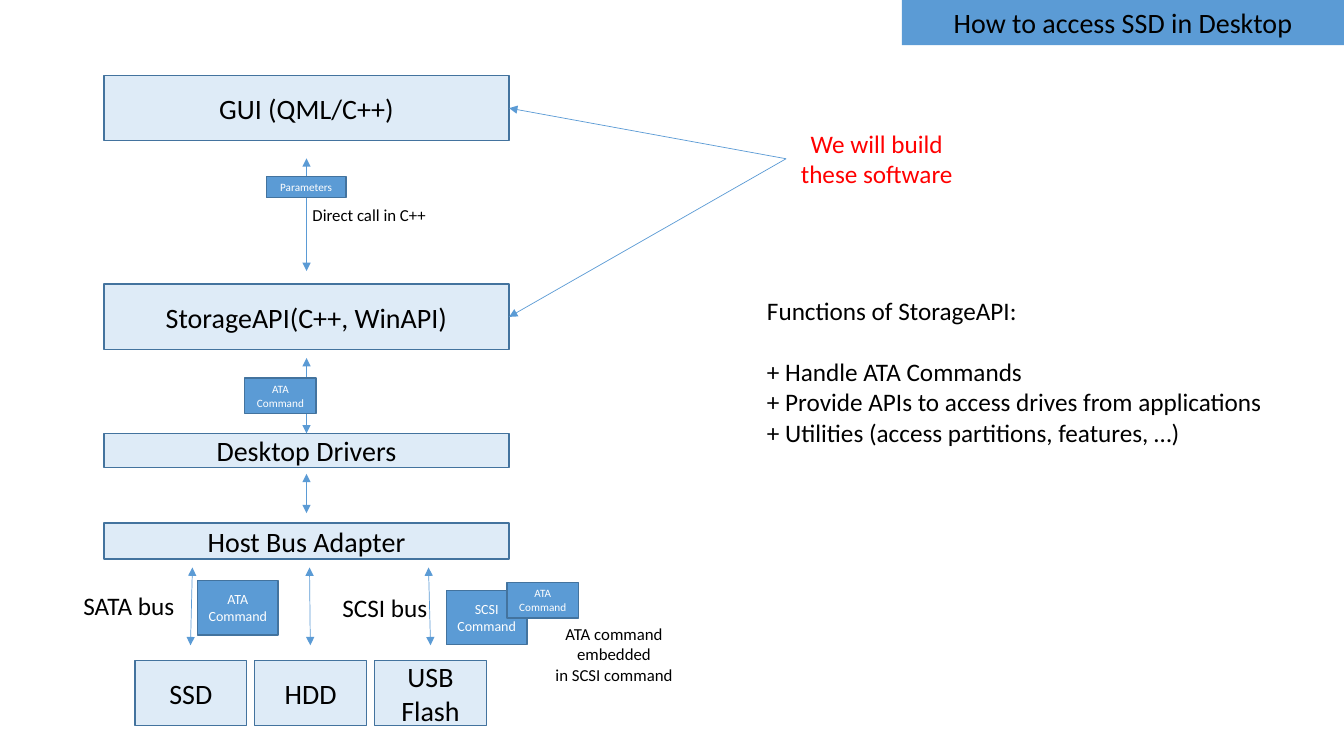
from dataclasses import dataclass

from lxml import etree
from pptx import Presentation
from pptx import util as u
from pptx.dml.color import RGBColor
from pptx.enum import shapes, text
from pptx.oxml import ns


@dataclass(frozen=True)
class Theme:
    """Colours, font and type sizes of the slide."""
    font: str = "Calibri"
    pale: str = "DEEBF7"
    blue: str = "5B9BD5"
    edge: str = "43739E"
    black: str = "000000"
    white: str = "FFFFFF"
    red: str = "FF0000"
    head: int = 20
    body: int = 18
    note: int = 12
    tag: int = 10
    mini: int = 8


T = Theme()
TAG = (2.03, 1.37)
MINI = (1.8, 0.89)


def rgb(value):
    """Turn a hex string into a colour."""
    return RGBColor.from_string(value)


def write(sp, content, size=T.body, color=T.black, align="CENTER", anchor="TOP", gaps=()):
    """Write one paragraph per line; gaps lists the lines with a line's space before."""
    tf = sp.text_frame
    tf.word_wrap = True
    tf.vertical_anchor = getattr(text.MSO_ANCHOR, anchor)
    for i, line in enumerate(content.split("\n")):
        p = tf.paragraphs[0] if i == 0 else tf.add_paragraph()
        p.alignment = getattr(text.PP_ALIGN, align)
        if i in gaps:
            p.space_before = u.Pt(size * 1.22)
        r = p.add_run()
        r.text = line
        r.font.name = T.font
        r.font.size = u.Pt(size)
        r.font.color.rgb = rgb(color)
    return sp


def label(s, x, y, w, h, content, **fmt):
    """Add a text box."""
    return write(s.shapes.add_textbox(*map(u.Cm, (x, y, w, h))), content, **fmt)


def block(s, x, y, w, h, content, fill=T.pale, edge=T.edge, size=T.head, **fmt):
    """Add a filled rectangle with centred text."""
    sp = s.shapes.add_shape(shapes.MSO_SHAPE.RECTANGLE, *map(u.Cm, (x, y, w, h)))
    sp.shadow.inherit = False
    sp.fill.solid()
    sp.fill.fore_color.rgb = rgb(fill)
    if edge:
        sp.line.color.rgb = rgb(edge)
        sp.line.width = u.Pt(1)
    else:
        sp.line.fill.background()
    return write(sp, content, size=size, anchor="MIDDLE", **fmt)


def command(s, x, y, box, content, size):
    """Add a small blue tag for a message travelling along an arrow."""
    return block(s, x, y, *box, content, fill=T.blue, size=size, color=T.white)


def arrow(s, x1, y1, x2, y2, ends=("headEnd", "tailEnd")):
    """Add a thin straight line with triangles at the given ends."""
    c = s.shapes.add_connector(shapes.MSO_CONNECTOR.STRAIGHT, *map(u.Cm, (x1, y1, x2, y2)))
    c.line.color.rgb = rgb(T.blue)
    c.line.width = u.Pt(0.5)
    ln = c.line._get_or_add_ln()
    for end in ends:
        etree.SubElement(ln, ns.qn(f"a:{end}"), type="triangle")
    etree.SubElement(c._element.spPr, ns.qn("a:effectLst"))
    return c


def title(s, x, y, w, h):
    """Draw the title bar."""
    block(s, x, y, w, h, "How to access SSD in Desktop", fill=T.blue, edge=None)


def stack(s, x, y, w):
    """Draw the software layers and the calls between them; return the layers."""
    layers = [("GUI (QML/C++)", 0, 1.65), ("StorageAPI(C++, WinAPI)", 5.26, 1.65),
              ("Desktop Drivers", 9.02, 0.86), ("Host Bus Adapter", 11.28, 0.91)]
    boxes = [block(s, x, y + top, w, h, name) for name, top, h in layers]
    mid = x + w / 2
    for top, bottom in ((2.09, 4.93), (7.12, 9.02), (10.04, 11.03)):
        arrow(s, mid, y + top, mid, y + bottom)
    command(s, x + 4.09, y + 2.55, (2.01, 0.53), "Parameters", T.mini)
    label(s, x + 4.82, y + 3.13, 3.73, 0.76, "Direct call in C++", size=T.note)
    command(s, x + 3.55, y + 7.63, MINI, "ATA\nCommand", T.mini)
    return boxes


def buses(s, x, y):
    """Draw the buses, their commands and the drives below them."""
    for top, bottom in ((3.0, 2.95), (5.95, 5.97), (8.95, 9.0)):
        arrow(s, x + top, y, x + bottom, y + 1.96)
    label(s, x, y + 0.46, 4.95, 1.02, "SATA bus", align="LEFT")
    label(s, x + 6.53, y + 0.51, 2.72, 1.02, "SCSI bus", align="LEFT")
    command(s, x + 3.13, y + 0.33, TAG, "ATA\nCommand", T.tag)
    command(s, x + 9.4, y + 0.58, TAG, "SCSI\nCommand", T.tag)
    command(s, x + 10.93, y + 0.38, MINI, "ATA\nCommand", T.mini)
    label(s, x + 11.76, y + 1.3, 3.73, 1.8,
          "ATA command\nembedded\nin SCSI command", size=T.note)
    for i, drive in enumerate(("SSD", "HDD", "USB\nFlash")):
        block(s, x + 1.55 + 3.02 * i, y + 2.34, 2.82, 1.65, drive)


def callout(s, x, y, w, h, targets):
    """Draw the red remark and point it at the right side of each target."""
    sp = label(s, x, y, w, h, "We will build\nthese software", color=T.red)
    for target in targets:
        c = arrow(s, x, y, x, y, ends=("tailEnd",))
        c.begin_connect(sp, 1)
        c.end_connect(target, 3)


def functions(s, x, y, w, h):
    """Write the list of functions."""
    lines = ("Functions of StorageAPI:", "+ Handle ATA Commands",
             "+ Provide APIs to access drives from applications",
             "+ Utilities (access partitions, features, …)")
    label(s, x, y, w, h, "\n".join(lines), align="LEFT", gaps=(1,))


def main():
    """Build and save the slide."""
    prs = Presentation()
    prs.slide_width, prs.slide_height = u.Cm(33.87), u.Cm(19.05)
    s = prs.slides.add_slide(prs.slide_layouts[6])
    title(s, 22.73, 0, 11.14, 1.14)
    layers = stack(s, 2.62, 1.9, 10.21)
    buses(s, 1.85, 14.3)
    callout(s, 19.81, 3.1, 4.57, 1.8, layers[:2])
    functions(s, 19.08, 7.32, 14.1, 4.11)
    prs.save("out.pptx")


if __name__ == "__main__":
    main()
